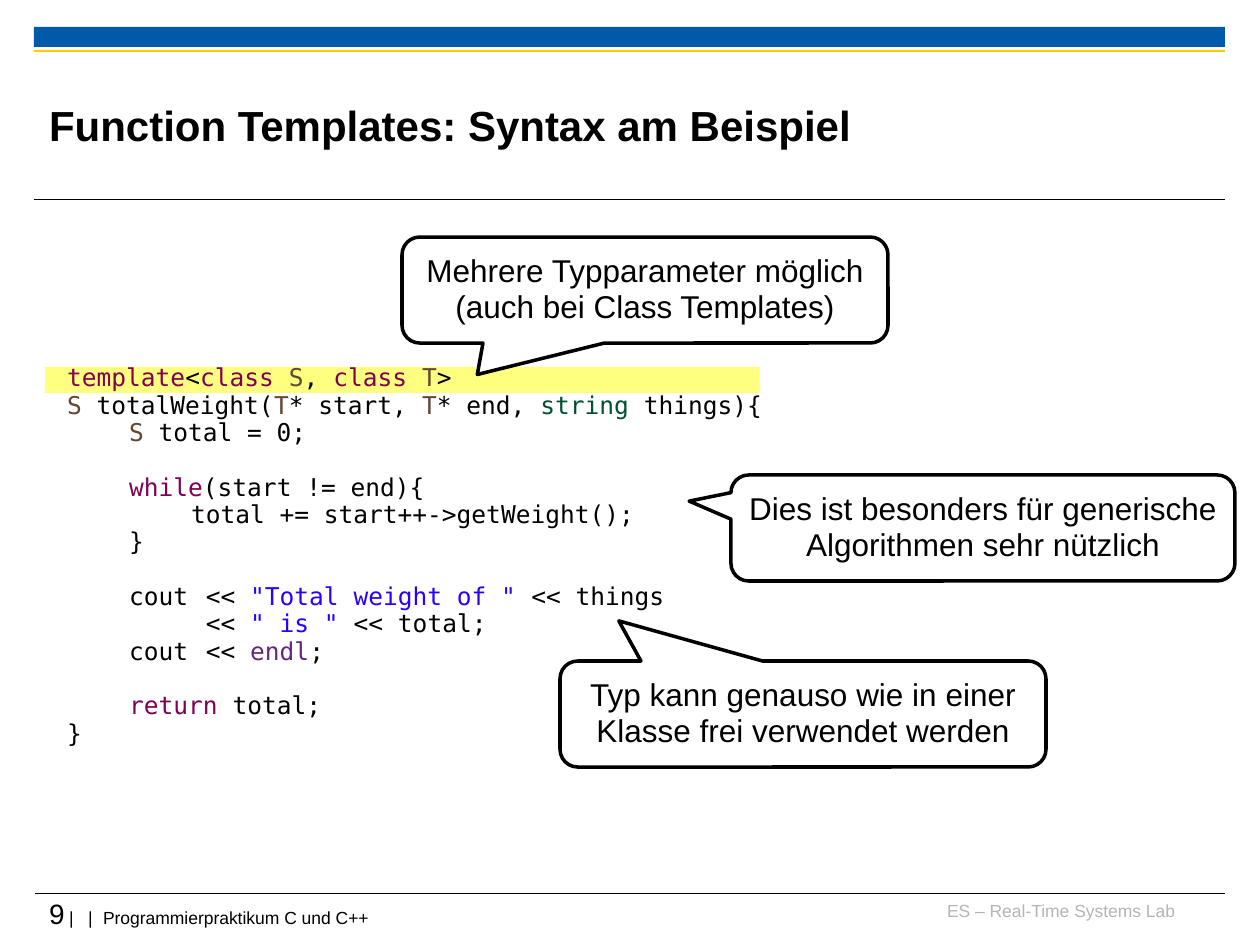
from lxml import etree
from pptx import Presentation
from pptx import util as u
from pptx.dml import color
from pptx.enum import shapes, text
from pptx.oxml import ns

EMU_PER_PX = 914400 / 126
SANS, MONO = "Arial", "DejaVu Sans Mono"
BLACK, WHITE = "000000", "FFFFFF"
KEYWORD, TYPE, CLASS, STRING, MANIPULATOR = "7F0055", "644632", "005032", "2A00FF", "642880"
TAB_STOPS = [62, 124]
CODE_LINE_PT = 15.6

# Each block is a list of lines, each line a list of (text, colour) tokens.
CODE_BLOCKS = [
    [
        [("template", KEYWORD), ("<", BLACK), ("class ", KEYWORD), ("S", TYPE),
         (", ", BLACK), ("class ", KEYWORD), ("T", TYPE), (">", BLACK)],
        [("S", TYPE), (" totalWeight(", BLACK), ("T", TYPE), ("* start, ", BLACK),
         ("T", TYPE), ("* end, ", BLACK), ("string", CLASS), (" things){", BLACK)],
        [("\tS", TYPE), (" total = 0;", BLACK)],
    ],
    [
        [("\twhile", KEYWORD), ("(start != end){", BLACK)],
        [("\t\ttotal += start++->getWeight();", BLACK)],
        [("\t}", BLACK)],
    ],
    [
        [("\tcout\t << ", BLACK), ('"Total weight of "', STRING), (" << things", BLACK)],
        [("\t\t << ", BLACK), ('" is "', STRING), (" << total;", BLACK)],
        [("\tcout\t << ", BLACK), ("endl", MANIPULATOR), (";", BLACK)],
    ],
    [
        [("\treturn", KEYWORD), (" total;", BLACK)],
        [("}", BLACK)],
    ],
]

CALLOUTS = [
    ("Mehrere Typparameter möglich (auch bei Class Templates)",
     (402, 237, 486, 106), (-0.345, 0.797)),
    ("Typ kann genauso wie in einer Klasse frei verwendet werden",
     (560, 661, 486, 106), (-0.379, -0.879)),
    ("Dies ist besonders für generische Algorithmen sehr nützlich",
     (731, 475, 504, 106), (-0.583, -0.253)),
]


def px(length):
    return u.Emu(round(length * EMU_PER_PX))


def rgb(code):
    return color.RGBColor.from_string(code)


def add_span(para, words, size, ink=BLACK, face=SANS, bold=False):
    span = para.add_run()
    span.text = words
    span.font.size = u.Pt(size)
    span.font.name = face
    span.font.bold = bold
    span.font.color.rgb = rgb(ink)


def set_tabs(para, stops):
    tabs = etree.SubElement(para._p.get_or_add_pPr(), ns.qn("a:tabLst"))
    for stop in stops:
        etree.SubElement(tabs, ns.qn("a:tab"), pos=str(px(stop)), algn="l")


def set_frame(frame, sides=0, ends=0, anchor=text.MSO_ANCHOR.TOP):
    """Wrap the text, anchor it and set its margins in px."""
    frame.word_wrap = True
    frame.auto_size = text.MSO_AUTO_SIZE.NONE
    frame.vertical_anchor = anchor
    frame.margin_left = frame.margin_right = px(sides)
    frame.margin_top = frame.margin_bottom = px(ends)
    return frame


def add_text_box(page, place, **margins):
    box = page.shapes.add_textbox(*map(px, place))
    return set_frame(box.text_frame, **margins)


def add_bar(page, place, fill, opacity=100):
    bar = page.shapes.add_shape(shapes.MSO_SHAPE.RECTANGLE, *map(px, place))
    bar.shadow.inherit = False
    bar.fill.solid()
    bar.fill.fore_color.rgb = rgb(fill)
    bar.line.fill.background()
    if opacity < 100:
        tint = bar.fill._xPr.find(".//" + ns.qn("a:srgbClr"))
        etree.SubElement(tint, ns.qn("a:alpha"), val=str(opacity * 1000))


def add_rule(page, left, right, top):
    rule = page.shapes.add_connector(
        shapes.MSO_CONNECTOR.STRAIGHT, px(left), px(top), px(right), px(top))
    rule.line.color.rgb = rgb(BLACK)
    rule.line.width = u.Pt(0.6)
    etree.SubElement(rule._element.spPr, ns.qn("a:effectLst"))


def add_title(page, words):
    title = page.shapes.title
    title.left, title.top, title.width, title.height = map(px, (49, 67, 948, 116))
    para = set_frame(title.text_frame, anchor=text.MSO_ANCHOR.MIDDLE).paragraphs[0]
    para.alignment = text.PP_ALIGN.LEFT
    add_span(para, words, 24, bold=True)


def add_code(page, place, blocks):
    frame = add_text_box(page, place, sides=13, ends=6)
    para = None
    for block in blocks:
        for number, line in enumerate(block):
            starts_gap = para is not None and number == 0
            para = frame.add_paragraph() if para is not None else frame.paragraphs[0]
            set_tabs(para, TAB_STOPS)
            para.line_spacing = 0.93
            if starts_gap:
                para.space_before = u.Pt(CODE_LINE_PT)
            for words, ink in line:
                add_span(para, words, 14, ink, MONO)


def add_callout(page, words, place, tip):
    callout = page.shapes.add_shape(
        shapes.MSO_SHAPE.ROUNDED_RECTANGULAR_CALLOUT, *map(px, place))
    callout.shadow.inherit = False
    callout.adjustments[0], callout.adjustments[1] = tip
    callout.fill.solid()
    callout.fill.fore_color.rgb = rgb(WHITE)
    callout.line.color.rgb = rgb(BLACK)
    callout.line.width = u.Pt(2)
    frame = set_frame(callout.text_frame, 13, 6, text.MSO_ANCHOR.MIDDLE)
    para = frame.paragraphs[0]
    para.alignment = text.PP_ALIGN.CENTER
    para.line_spacing = 0.93
    add_span(para, words, 18)


def add_footer(page):
    lab = add_text_box(page, (927, 900, 248, 32)).paragraphs[0]
    lab.alignment = text.PP_ALIGN.RIGHT
    add_span(lab, "ES – Real-Time Systems Lab", 10, "B5B5B5")
    course = add_text_box(page, (49, 897, 1176, 42)).paragraphs[0]
    set_tabs(course, [20, 39, 54])
    add_span(course, "9", 16)
    add_span(course, "\t|\t|\tProgrammierpraktikum C und C++", 10)


def main():
    deck = Presentation()
    deck.slide_width, deck.slide_height = px(1260), px(945)
    page = deck.slides.add_slide(deck.slide_layouts.get_by_name("Title Only"))
    add_rule(page, 35, 1225, 894)
    add_bar(page, (34, 27, 1191, 20), "005AA9")
    add_rule(page, 34, 1225, 200)
    add_bar(page, (34, 50, 1191, 2), "FDCA00")
    add_footer(page)
    add_bar(page, (45, 367, 715, 26), "FFFF00", opacity=50)
    add_title(page, "Function Templates: Syntax am Beispiel")
    add_code(page, (54, 359, 853, 396), CODE_BLOCKS)
    for words, place, tip in CALLOUTS:
        add_callout(page, words, place, tip)
    deck.save("out.pptx")


if __name__ == "__main__":
    main()
